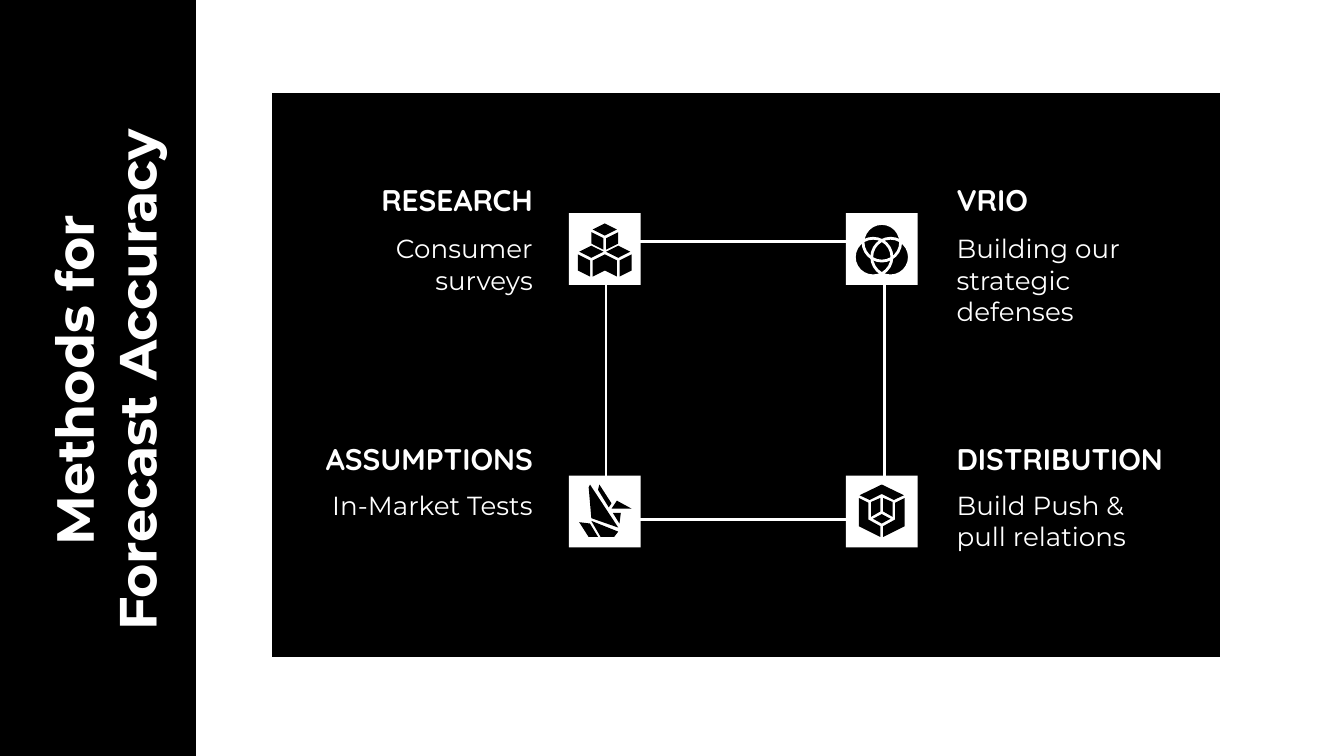
from pptx import Presentation
from pptx.dml.color import RGBColor
from pptx.enum.shapes import MSO_SHAPE
from pptx.enum.text import MSO_ANCHOR, MSO_AUTO_SIZE, PP_ALIGN
from pptx.util import Pt

RECTANGLE, OVAL = MSO_SHAPE.RECTANGLE, MSO_SHAPE.OVAL
TOP, NO_FIT = MSO_ANCHOR.TOP, MSO_AUTO_SIZE.NONE
LEFT, CENTER, RIGHT = PP_ALIGN.LEFT, PP_ALIGN.CENTER, PP_ALIGN.RIGHT

THEME = {
    "black": RGBColor(0, 0, 0), "white": RGBColor(255, 255, 255),
    "title": {"size": 28, "font": "Montserrat", "bold": True},
    "heading": {"size": 16, "font": "Quicksand", "bold": True},
    "body": {"size": 14, "font": "Montserrat", "bold": False},
    "line": 1.5,
}

# Content: heading, description, icon
TITLE = "Methods for Forecast Accuracy"
METHODS = [
    ("RESEARCH", "Consumer surveys", "cubes"),
    ("VRIO", "Building our strategic defenses", "circles"),
    ("ASSUMPTIONS", "In-Market Tests", "origami"),
    ("DISTRIBUTION", "Build Push & pull relations", "hexagon"),
]

# Layout in points
TILE = 38.4
COLUMNS, ROWS = (324, 472.4), (133.4, 274)
TEXT_EDGES = (292.6, 505.4)
HEADING_TOPS, BODY_TOPS = (90, 229), (117.4, 254.9)
ICON_UNIT = 0.72  # icon outlines are in hundredths of an inch from the tile centre


def paint(shape, fill=None, line=None):
    shape.shadow.inherit = False
    if fill is None:
        shape.fill.background()
    else:
        shape.fill.solid()
        shape.fill.fore_color.rgb = fill
    if line is None:
        shape.line.fill.background()
    else:
        shape.line.color.rgb = line
        shape.line.width = Pt(THEME["line"])


def add_preset(preset, left, top, width, height, **colors):
    shape = slide.shapes.add_shape(preset, Pt(left), Pt(top), Pt(width), Pt(height))
    paint(shape, **colors)


def write(box, text, *, size, font, bold, align):
    frame = box.text_frame
    frame.word_wrap = True
    frame.auto_size = NO_FIT
    frame.vertical_anchor = TOP
    frame.margin_left = frame.margin_right = Pt(7.2)
    frame.margin_top = frame.margin_bottom = Pt(7.2)
    para = frame.paragraphs[0]
    para.alignment = align
    span = para.add_run()
    span.text = text
    span.font.size, span.font.name, span.font.bold = Pt(size), font, bold
    span.font.color.rgb = THEME["white"]


def mirror(outline):
    return [(-x, y) for x, y in outline]


def diamond(x, y, half_width, half_height):
    return [(x, y - half_height), (x - half_width, y),
            (x, y + half_height), (x + half_width, y)]


def cube_outlines():
    """Three stacked cubes, each a top diamond and two slanted faces."""
    outlines = []
    for x, y, height in ((0, -14.5, 8.5), (-10, 2, 12), (10, 2, 12)):
        outlines.append(diamond(x, y, 9, 4.5))
        face = [(-10, 2), (-10, 2 + height), (-1, 6.5 + height), (-1, 6.5)]
        for side in (face, mirror(face)):
            outlines.append([(x + dx, y + dy) for dx, dy in side])
    return outlines


def hexagon_outlines():
    inner = [(1, -10), (1, 0), (8, 4), (8, -7)]
    outer = [(17, -10), (10, -6.5), (10, 6), (1, 11), (1, 19), (17, 11)]
    half_roof = [(-16.5, -12), (-9, -8.5)]
    roof = [(0, -20), *half_roof, (0, -13), *mirror(half_roof[::-1])]
    return [diamond(0, 5.5, 6.5, 3.5), roof, inner, outer, mirror(inner), mirror(outer)]


def origami_outlines():
    return [
        [(-19, 8), (-12, 19), (-5, 19), (-11, 9)],
        [(-4, -20), (-5, -16), (3, -3), (5, -6)],
        [(9, -8), (5, -2), (20, -2)],
        [(6, 1), (11, 9), (12, 1)],
        [(-11, -20), (-12, -18), (-10, 5), (10, 12)],
        [(-10, 7), (-3, 19), (7, 19), (10, 15)],
    ]


def add_outlines(outlines, center_x, center_y):
    for outline in outlines:
        points = [(Pt(center_x + x * ICON_UNIT), Pt(center_y + y * ICON_UNIT))
                  for x, y in outline]
        builder = slide.shapes.build_freeform(*points[0])
        builder.add_line_segments(points[1:], close=True)
        paint(builder.convert_to_shape(), fill=black)


def add_circles(center_x, center_y):
    """Black discs first, then white rings that cut out the overlaps."""
    radius = 14 * ICON_UNIT
    for colors in ({"fill": black}, {"line": white}):
        for x, y in ((0, -5), (-6.5, 6), (6.5, 6)):
            add_preset(OVAL, center_x + x * ICON_UNIT - radius,
                       center_y + y * ICON_UNIT - radius,
                       2 * radius, 2 * radius, **colors)


OUTLINES = {"cubes": cube_outlines, "hexagon": hexagon_outlines,
            "origami": origami_outlines}

deck = Presentation()
deck.slide_width, deck.slide_height = Pt(720), Pt(405)
slide = deck.slides.add_slide(deck.slide_layouts[5])
black, white = THEME["black"], THEME["white"]

# Black panel and side band
add_preset(RECTANGLE, 144.7, 49, 509.8, 303.8, fill=black, line=white)
add_preset(RECTANGLE, -8.6, -2.9, 114.5, 414, fill=black, line=white)

# Vertical title, brought in front of the band
title = slide.shapes.title
title.left, title.top, title.width, title.height = Pt(-123.1), Pt(181.4), Pt(321.1), Pt(44.6)
title.rotation = 270
write(title, TITLE, align=CENTER, **THEME["title"])
slide.shapes._spTree.append(title._element)

# Square that links the four methods
add_preset(RECTANGLE, 324.7, 129.3, 149, 149, line=white)

# Tiles, icons and texts
for index, (heading, description, icon) in enumerate(METHODS):
    row, column = divmod(index, 2)
    x, y = COLUMNS[column], ROWS[row]
    add_preset(RECTANGLE, x - TILE / 2, y - TILE / 2, TILE, TILE, fill=white)
    if icon == "circles":
        add_circles(x, y)
    else:
        add_outlines(OUTLINES[icon](), x, y)
    for text, style, top, width, height in (
            (heading, "heading", HEADING_TOPS[row], 131.8, 24.5),
            (description, "body", BODY_TOPS[row], 122.4, 61.9)):
        left = TEXT_EDGES[column] - (width if column == 0 else 0)
        box = slide.shapes.add_textbox(Pt(left), Pt(top), Pt(width), Pt(height))
        write(box, text, align=(RIGHT, LEFT)[column], **THEME[style])

deck.save("out.pptx")
